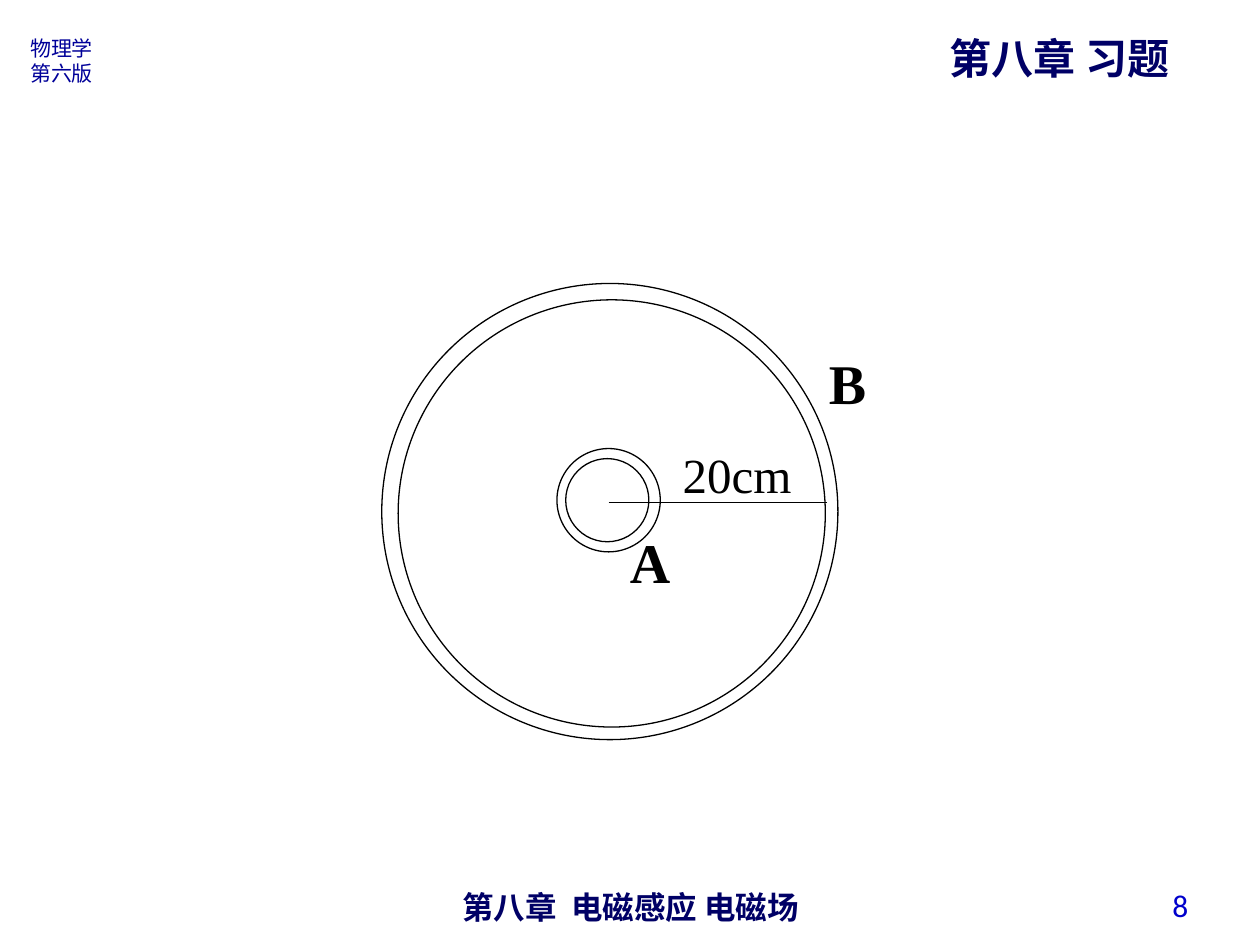
from lxml.etree import SubElement
from pptx import Presentation
from pptx.dml.color import RGBColor
from pptx.enum.shapes import MSO_CONNECTOR, MSO_SHAPE
from pptx.enum.text import MSO_ANCHOR, PP_ALIGN
from pptx.oxml.ns import qn
from pptx.util import Inches, Pt

COLORS = {"black": "000000", "navy": "000066", "blue": "000099", "bright": "0000CC"}
CJK, SERIF = "Noto Sans CJK SC", "Times New Roman"

TEXTS = [
    (["物理学", "第六版"], (0.14, 0.23, 0.72, 0.5),
     dict(size=12, font=CJK, color="blue")),
    (["第八章  电磁感应 电磁场"], (3.42, 7, 3.17, 0.29),
     dict(size=18, font="Arial", color="navy", bold=True, align=PP_ALIGN.CENTER)),
    (["第八章 习题"], (7.44, 0.21, 2.03, 0.5),
     dict(size=24, font=CJK, color="navy", bold=True, wrap=False)),
    (["8"], (7.2, 6.98, 2.33, 0.4),
     dict(size=18, font="Calibri", color="bright", align=PP_ALIGN.RIGHT,
          anchor=MSO_ANCHOR.MIDDLE)),
    (["A"], (4.9, 4.14, 0.52, 0.64), dict(size=32, bold=True, wrap=False)),
    (["B"], (6.48, 2.72, 0.49, 0.64), dict(size=32, bold=True, wrap=False)),
    (["20cm"], (5.32, 3.48, 1.06, 0.57), dict(size=28, wrap=False)),
]
CIRCLES = [(3.03, 2.25, 3.62), (3.16, 2.38, 3.39), (4.42, 3.56, 0.82), (4.49, 3.64, 0.66)]
RADIUS_LINE = (4.83, 3.99, 6.56, 3.99)


def rgb(name):
    return RGBColor.from_string(COLORS[name])


def add_text(slide, lines, box, *, size, font=SERIF, color="black", bold=False,
             align=PP_ALIGN.LEFT, anchor=MSO_ANCHOR.TOP, wrap=True):
    frame = slide.shapes.add_textbox(*map(Inches, box)).text_frame
    frame.word_wrap = wrap
    frame.vertical_anchor = anchor
    frame.text = "\n".join(lines)
    for paragraph in frame.paragraphs:
        paragraph.alignment = align
        for run in paragraph.runs:
            run.font.size = Pt(size)
            run.font.name = font
            run.font.bold = bold
            run.font.color.rgb = rgb(color)
            SubElement(run.font._element, qn("a:ea"), typeface=CJK)


def set_outline(shape):
    shape.line.color.rgb = rgb("black")
    shape.line.width = Pt(0.75)


def add_circle(slide, left, top, diameter):
    circle = slide.shapes.add_shape(
        MSO_SHAPE.OVAL, *map(Inches, (left, top, diameter, diameter)))
    circle.shadow.inherit = False
    circle.fill.background()
    set_outline(circle)


def add_radius(slide, ends):
    connector = slide.shapes.add_connector(MSO_CONNECTOR.STRAIGHT, *map(Inches, ends))
    set_outline(connector)
    SubElement(connector._element.spPr, qn("a:effectLst"))


def main():
    presentation = Presentation()
    presentation.slide_width, presentation.slide_height = Inches(10), Inches(7.5)
    slide = presentation.slides.add_slide(presentation.slide_layouts[6])
    for circle in CIRCLES:
        add_circle(slide, *circle)
    add_radius(slide, RADIUS_LINE)
    for lines, box, style in TEXTS:
        add_text(slide, lines, box, **style)
    presentation.save("out.pptx")


if __name__ == "__main__":
    main()
